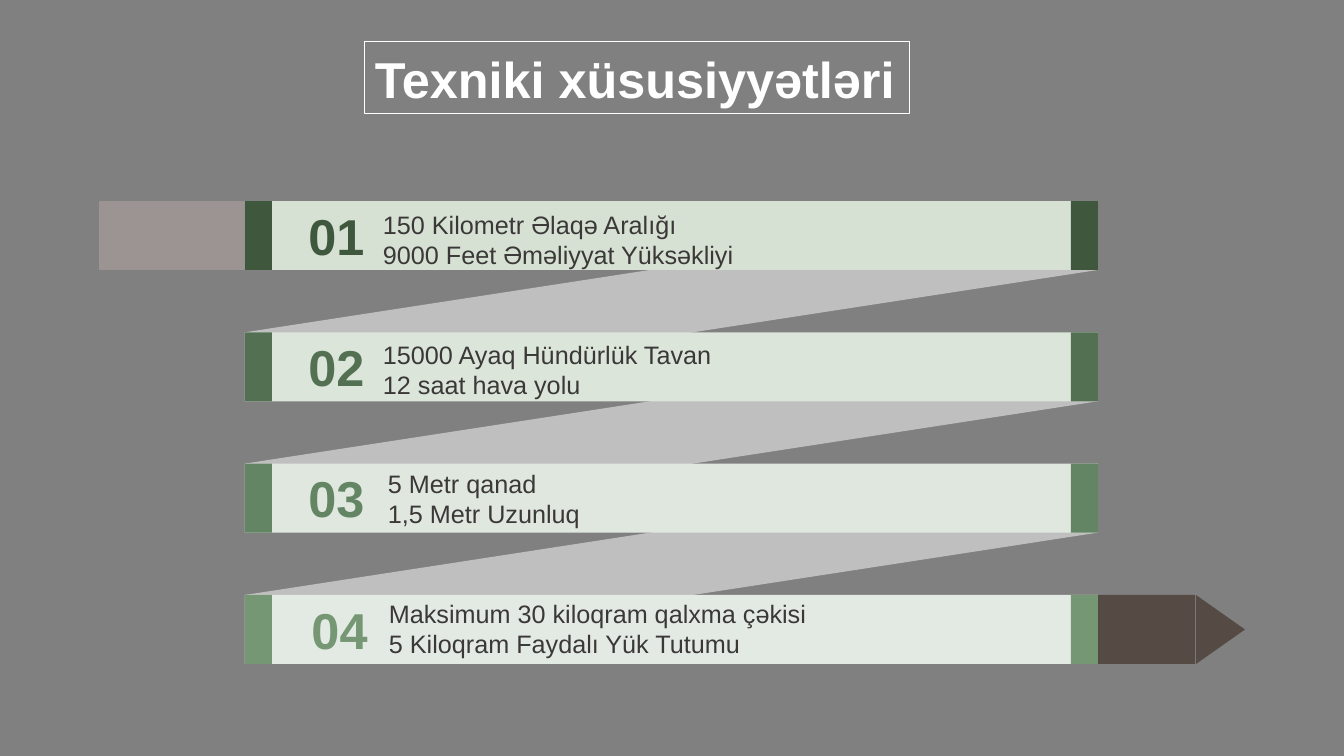
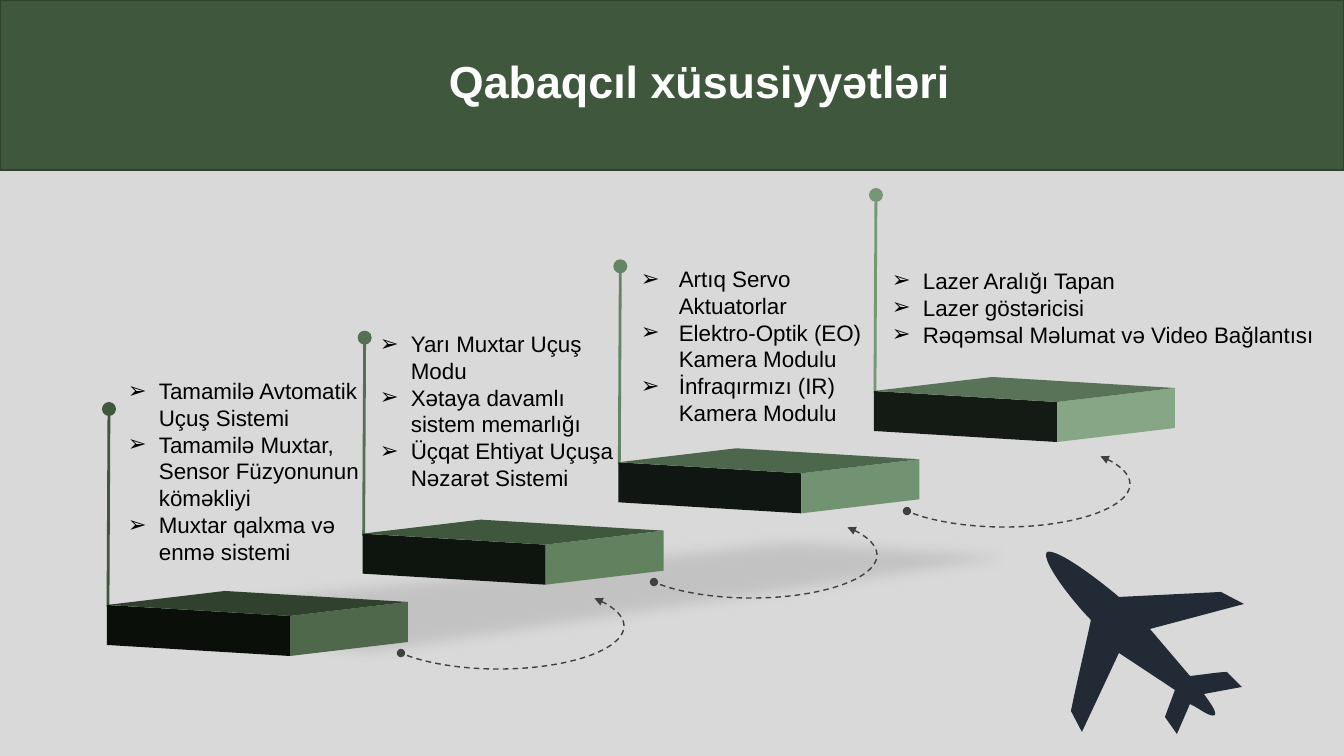
from lxml import etree
from pptx import Presentation
from pptx.dml.color import RGBColor
from pptx.enum.dml import MSO_LINE
from pptx.enum.shapes import MSO_CONNECTOR, MSO_SHAPE
from pptx.enum.text import PP_ALIGN
from pptx.oxml.ns import qn
from pptx.util import Pt

EMU_PER_PX = 914400 / 100.8
SLIDE_W, SLIDE_H = 1344, 756
FONT = "Arial"

RECT = MSO_SHAPE.RECTANGLE
TRIANGLE = MSO_SHAPE.ISOSCELES_TRIANGLE
ARC = MSO_SHAPE.ARC
STRAIGHT = MSO_CONNECTOR.STRAIGHT
LEFT, CENTER = PP_ALIGN.LEFT, PP_ALIGN.CENTER
DASH = MSO_LINE.DASH

WHITE = RGBColor(0xFF, 0xFF, 0xFF)
BLACK = RGBColor(0x00, 0x00, 0x00)
GREY = RGBColor(0x80, 0x80, 0x80)
PALE_GREY = RGBColor(0xD9, 0xD9, 0xD9)
RIBBON_GREY = RGBColor(0xBF, 0xBF, 0xBF)
TAIL_TAUPE = RGBColor(0x9C, 0x94, 0x93)
TIP_BROWN = RGBColor(0x56, 0x4A, 0x44)
TEXT_GREY = RGBColor(0x3B, 0x38, 0x38)
ARC_GREY = RGBColor(0x40, 0x40, 0x40)
BAND_EDGE = RGBColor(0x2F, 0x40, 0x2C)
PLANE_NAVY = RGBColor(0x22, 0x2A, 0x35)
GREENS = [RGBColor.from_string(c) for c in ("3F573C", "537152", "638564", "759774")]
ROW_FILLS = [RGBColor.from_string(c) for c in ("D6E1D4", "DBE5DA", "DFE7DF", "E3EAE3")]
# front, right and top face of each step
STEP_FACES = [[RGBColor.from_string(c) for c in faces] for faces in (
    ("0A0F0A", "4F684B", "30422E"),
    ("0E150E", "62825F", "3F573C"),
    ("101712", "729372", "4C674C"),
    ("141B14", "86A685", "587358"),
)]

# number, number left, text left, text top, lines
SPEC_TITLE = "Texniki xüsusiyyətləri"
SPECS = [
    ("01", 297, 373, 204,
     ["150 Kilometr Əlaqə Aralığı", "9000 Feet Əməliyyat Yüksəkliyi"]),
    ("02", 297, 373, 334,
     ["15000 Ayaq Hündürlük Tavan", "12 saat hava yolu"]),
    ("03", 297, 378, 463,
     ["5 Metr qanad", "1,5 Metr Uzunluq"]),
    ("04", 300, 379, 593,
     ["Maksimum 30 kiloqram qalxma çəkisi", "5 Kiloqram Faydalı Yük Tutumu"]),
]

# text box, bullet indent, items
FEATURE_TITLE = "Qabaqcıl xüsusiyyətləri"
FEATURES = [
    ((118, 372, 253, 207), 31,
     ["Tamamilə Avtomatik Uçuş Sistemi",
      "Tamamilə Muxtar, Sensor Füzyonunun köməkliyi",
      "Muxtar qalxma və enmə sistemi"]),
    ((370, 325, 267, 173), 31,
     ["Yarı Muxtar Uçuş Modu",
      "Xətaya davamlı sistem memarlığı",
      "Üçqat Ehtiyat Uçuşa Nəzarət Sistemi"]),
    ((631, 260, 255, 173), 38,
     ["Artıq Servo Aktuatorlar",
      "Elektro-Optik (EO) Kamera Modulu",
      "İnfraqırmızı (IR) Kamera Modulu"]),
    ((882, 262, 450, 95), 31,
     ["Lazer Aralığı Tapan",
      "Lazer göstəricisi",
      "Rəqəmsal Məlumat və Video Bağlantısı"]),
]

ROW_LEFT, ROW_RIGHT, ROW_H, CAP_W = 245, 1098, 69, 27
FIRST_ROW_TOP, LAST_ROW_TOP = 201, 595

FIRST_STEP, LAST_STEP = (107, 605), (874, 391)
# corners relative to the left front corner
FACES = [
    [(0, 0), (183, 11), (183, 51), (0, 40)],
    [(183, 11), (301, -3), (301, 37), (183, 51)],
    [(0, 0), (118, -14), (301, -3), (183, 11)],
]
FIRST_ARC, LAST_ARC, ARC_SIZE = (373, 583), (879, 441), (251, 86)
ARC_ANGLES = (343.9, 164.5)
ADJUSTMENT_PER_DEGREE = 0.6

# one point is a straight edge, three points are a Bézier curve
SHADOW_START = (31, 610)
SHADOW = [[(349, 662)], [(406, 671), (374, 664), (375, 663)],
          [(1130, 553)], [(787, 530)]]
PLANE_START = (1242, 687)
PLANE = [
    [(1204, 694)],
    [(1208, 700), (1217, 711), (1215, 715)],
    [(1210, 718), (1199, 708), (1190, 704)],
    [(1177, 734)], [(1165, 717)], [(1175, 690)],
    [(1119, 653)], [(1082, 732)], [(1071, 711)],
    [(1078, 677), (1084, 653), (1091, 620)],
    [(1074, 603), (1040, 560), (1047, 552)],
    [(1057, 548), (1099, 580), (1119, 597)],
    [(1221, 592)], [(1244, 604)], [(1150, 629)], [(1190, 676)],
    [(1201, 675), (1219, 672), (1227, 672)],
]


def px(value):
    return round(value * EMU_PER_PX)


def spread(first, last, count):
    """Return count evenly spaced values from first to last."""
    return [first + (last - first) * i / (count - 1) for i in range(count)]


def spread_points(first, last, count):
    return list(zip(*(spread(a, b, count) for a, b in zip(first, last))))


def add_slide(prs, background):
    slide = prs.slides.add_slide(prs.slide_layouts[6])
    slide.background.fill.solid()
    slide.background.fill.fore_color.rgb = background
    return slide


def paint(shape, fill=None, line=None, width=1):
    shape.shadow.inherit = False
    if fill is None:
        shape.fill.background()
    else:
        shape.fill.solid()
        shape.fill.fore_color.rgb = fill
    if line is None:
        shape.line.fill.background()
    else:
        shape.line.color.rgb = line
        shape.line.width = Pt(width)
    return shape


def add_preset(slide, kind, box, fill=None, line=None, width=1):
    shape = slide.shapes.add_shape(kind, *map(px, box))
    return paint(shape, fill, line, width)


def add_outline(slide, points, fill):
    start, *rest = [(px(x), px(y)) for x, y in points]
    builder = slide.shapes.build_freeform(*start, scale=1.0)
    builder.add_line_segments(rest, close=True)
    return paint(builder.convert_to_shape(), fill)


def add_curved_outline(slide, start, segments, fill):
    shape = add_outline(slide, [start] + [s[-1] for s in segments], fill)
    edges = list(shape._element.spPr.iter(qn("a:lnTo")))
    for edge, segment in zip(edges, segments):
        if len(segment) == 3:
            curve = etree.Element(qn("a:cubicBezTo"))
            for x, y in segment:
                etree.SubElement(curve, qn("a:pt"), x=str(px(x) - shape.left),
                                 y=str(px(y) - shape.top))
            edge.getparent().replace(edge, curve)
    return shape


def add_line_end(shape, end, kind, size):
    ln = shape._element.spPr.find(qn("a:ln"))
    etree.SubElement(ln, qn(f"a:{end}"), type=kind, w=size, len=size)


def add_bullet(paragraph, indent):
    props = paragraph._p.get_or_add_pPr()
    props.set("marL", str(px(indent)))
    props.set("indent", str(-px(indent)))
    etree.SubElement(props, qn("a:buFont"), typeface=FONT)
    etree.SubElement(props, qn("a:buChar"), char="➢")


def write(frame, lines, size, color, bold=False, align=LEFT, indent=None, wrap=True):
    frame.word_wrap = wrap
    for i, line in enumerate(lines):
        paragraph = frame.add_paragraph() if i else frame.paragraphs[0]
        paragraph.alignment = align
        if indent:
            add_bullet(paragraph, indent)
        run = paragraph.add_run()
        run.text = line
        run.font.name = FONT
        run.font.size = Pt(size)
        run.font.bold = bold
        run.font.color.rgb = color


def add_text(slide, box, lines, size, color, **style):
    write(slide.shapes.add_textbox(*map(px, box)).text_frame, lines, size, color, **style)


def write_title(frame, title, size):
    write(frame, [title], size, WHITE, bold=True, wrap=False)


def build_specs(prs):
    slide = add_slide(prs, GREY)
    tops = spread(FIRST_ROW_TOP, LAST_ROW_TOP, len(SPECS))

    for top, following in zip(tops, tops[1:]):
        add_outline(slide, [(ROW_LEFT, following), (ROW_RIGHT, top),
                            (ROW_RIGHT, top + ROW_H), (ROW_LEFT, following + ROW_H)],
                    RIBBON_GREY)
    add_preset(slide, RECT, (99, tops[0], ROW_LEFT - 99, ROW_H), TAIL_TAUPE)
    add_preset(slide, RECT, (ROW_RIGHT, tops[-1], 97, ROW_H), TIP_BROWN)
    tip = add_preset(slide, TRIANGLE, (1186, tops[-1] + 10, ROW_H, 49), TIP_BROWN)
    tip.rotation = 90

    for top, fill, green, spec in zip(tops, ROW_FILLS, GREENS, SPECS):
        number, number_left, text_left, text_top, lines = spec
        add_preset(slide, RECT, (ROW_LEFT, top, ROW_RIGHT - ROW_LEFT, ROW_H), fill)
        for cap_left in (ROW_LEFT, ROW_RIGHT - CAP_W):
            add_preset(slide, RECT, (cap_left, top, CAP_W, ROW_H), green)
        add_text(slide, (number_left, top - 1, 79, 72), [number], 36, green,
                 bold=True, align=CENTER)
        add_text(slide, (text_left, text_top, 672, 72), lines, 18, TEXT_GREY)

    title = add_preset(slide, RECT, (365, 42, 545, 72), line=WHITE, width=0.75)
    write_title(title.text_frame, SPEC_TITLE, 36)


def add_pole(slide, x, y, color):
    ends = (x + 1, y + 2, x + 2, y - 196)
    pole = slide.shapes.add_connector(STRAIGHT, *map(px, ends))
    pole.line.color.rgb = color
    pole.line.width = Pt(2)
    add_line_end(pole, "tailEnd", "oval", "lg")
    etree.SubElement(pole._element.spPr, qn("a:effectLst"))


def add_step_arrow(slide, corner):
    arrow = add_preset(slide, ARC, (*corner, *ARC_SIZE), line=ARC_GREY)
    for i, angle in enumerate(ARC_ANGLES):
        arrow.adjustments[i] = angle * ADJUSTMENT_PER_DEGREE
    arrow.line.dash_style = DASH
    add_line_end(arrow, "headEnd", "triangle", "med")
    add_line_end(arrow, "tailEnd", "oval", "med")


def add_floor_shadow(slide):
    shadow = add_curved_outline(slide, SHADOW_START, SHADOW, GREY)
    props = shadow._element.spPr
    color = props.find(qn("a:solidFill"))[0]
    etree.SubElement(color, qn("a:alpha"), val="25000")
    etree.SubElement(props.find(qn("a:effectLst")), qn("a:softEdge"), rad=str(px(13)))


def build_features(prs):
    slide = add_slide(prs, PALE_GREY)
    corners = spread_points(FIRST_STEP, LAST_STEP, len(FEATURES))

    for (x, y), green in zip(corners, GREENS):
        add_pole(slide, x, y, green)
    add_floor_shadow(slide)
    for (x, y), fills in zip(corners, STEP_FACES):
        for face, fill in zip(FACES, fills):
            add_outline(slide, [(x + dx, y + dy) for dx, dy in face], fill)
    for corner in spread_points(FIRST_ARC, LAST_ARC, len(FEATURES) - 1):
        add_step_arrow(slide, corner)
    for box, indent, items in FEATURES:
        add_text(slide, box, items, 16, BLACK, indent=indent)

    add_preset(slide, RECT, (0, 0, SLIDE_W, 170), GREENS[0], BAND_EDGE)
    title = slide.shapes.add_textbox(*map(px, (439, 49, 525, 65)))
    write_title(title.text_frame, FEATURE_TITLE, 32)
    add_curved_outline(slide, PLANE_START, PLANE, PLANE_NAVY)


def main():
    prs = Presentation()
    prs.slide_width, prs.slide_height = px(SLIDE_W), px(SLIDE_H)
    build_specs(prs)
    build_features(prs)
    prs.save("out.pptx")


if __name__ == "__main__":
    main()
